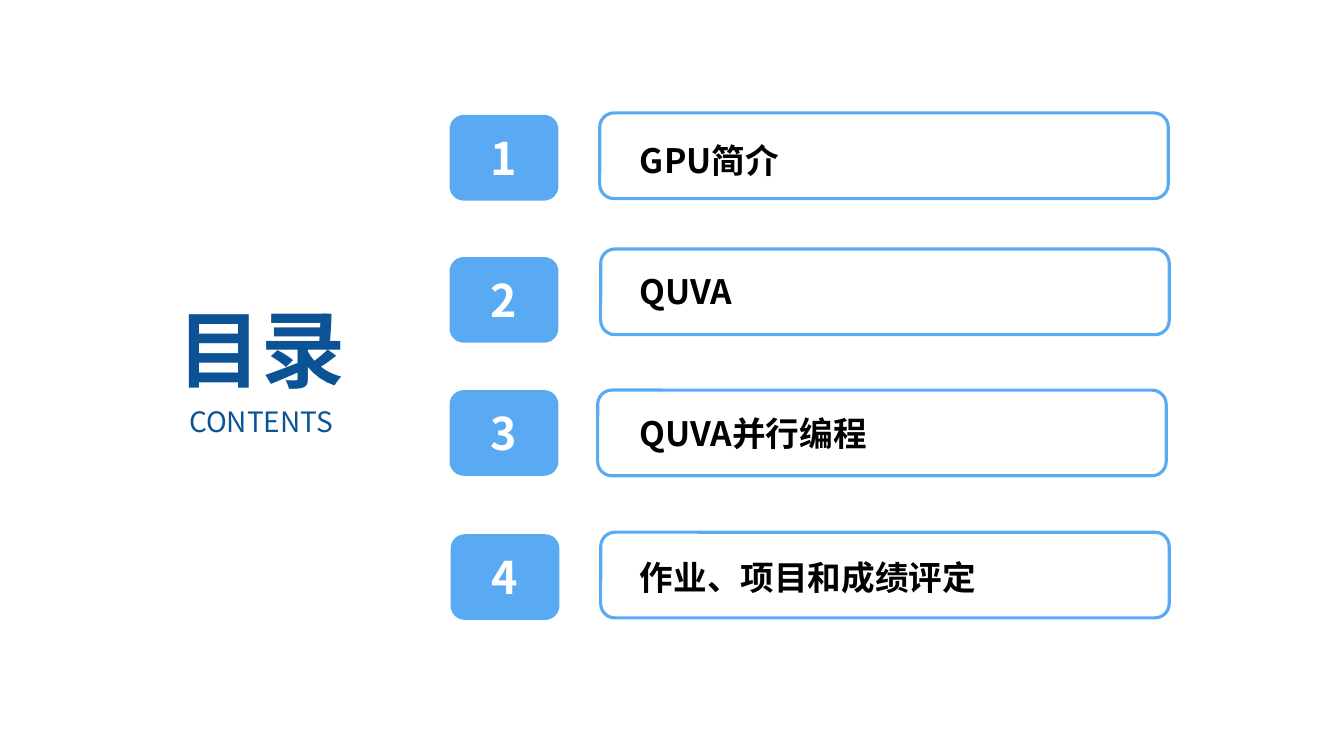
from dataclasses import dataclass

import pptx
import pptx.dml.color
import pptx.enum.shapes
import pptx.enum.text
import pptx.oxml
import pptx.oxml.ns
import pptx.util

RGB = pptx.dml.color.RGBColor.from_string
ALIGN = pptx.enum.text.PP_ALIGN
ANCHOR = pptx.enum.text.MSO_ANCHOR

SLIDE_WIDTH = pptx.util.Emu(12192000)
SLIDE_HEIGHT = pptx.util.Emu(6858000)
COLUMNS, ROWS = 160, 90
ENTRY_ROWS = 10.2


@dataclass(frozen=True)
class Theme:
    font: str = "Noto Sans CJK SC"
    heading: str = "0B5394"
    accent: str = "59AAF2"
    badge_text: str = "FFFFFF"
    label_text: str = "000000"
    title_size: int = 60
    subtitle_size: int = 20
    badge_size: int = 32
    label_size: int = 24
    frame_line: float = 2.25


@dataclass(frozen=True)
class Area:
    column: float
    row: float
    columns: float
    rows: float

    def lengths(self) -> tuple[int, int, int, int]:
        return (
            round(self.column * SLIDE_WIDTH / COLUMNS),
            round(self.row * SLIDE_HEIGHT / ROWS),
            round(self.columns * SLIDE_WIDTH / COLUMNS),
            round(self.rows * SLIDE_HEIGHT / ROWS),
        )


@dataclass(frozen=True)
class Entry:
    label: str
    badge_column: float
    badge_row: float
    frame_column: float
    frame_row: float
    label_row: float
    label_columns: float


THEME = Theme()
TITLE_AREA = Area(17.52, 34.8, 27.12, 13.32)
SUBTITLE_AREA = Area(17.52, 47.52, 27.12, 5.28)
ENTRIES = (
    Entry("GPU简介", 53.52, 13.68, 71.4, 13.44, 16.08, 20.52),
    Entry("QUVA", 53.52, 30.6, 71.52, 29.64, 31.68, 14.52),
    Entry("QUVA并行编程", 53.52, 46.44, 71.16, 46.44, 48.6, 30.6),
    Entry("作业、项目和成绩评定", 53.64, 63.6, 71.52, 63.36, 65.76, 44.04),
)


def write(shape, text: str, size: int, color: str, bold: bool = True,
          align=ALIGN.CENTER, anchor=ANCHOR.TOP, wrap: bool = True) -> None:
    frame = shape.text_frame
    frame.text = text
    frame.auto_size = pptx.enum.text.MSO_AUTO_SIZE.NONE
    frame.word_wrap = wrap
    frame.vertical_anchor = anchor
    paragraph = frame.paragraphs[0]
    paragraph.alignment = align
    font = paragraph.font
    font.name = THEME.font
    font.size = pptx.util.Pt(size)
    font.bold = bold
    font.color.rgb = RGB(color)
    properties = paragraph._p.pPr.find(pptx.oxml.ns.qn("a:defRPr"))
    east_asian = pptx.oxml.parse_xml(
        f'<a:ea {pptx.oxml.ns.nsdecls("a")} typeface="{THEME.font}"/>')
    properties.append(east_asian)


def add_rounded(slide, area: Area):
    shape = slide.shapes.add_shape(
        pptx.enum.shapes.MSO_SHAPE.ROUNDED_RECTANGLE, *area.lengths())
    shape.shadow.inherit = False
    return shape


def add_heading(slide) -> None:
    title = slide.shapes.title
    title.left, title.top, title.width, title.height = TITLE_AREA.lengths()
    write(title, "目录", THEME.title_size, THEME.heading)
    subtitle = slide.shapes.add_textbox(*SUBTITLE_AREA.lengths())
    write(subtitle, "CONTENTS", THEME.subtitle_size, THEME.heading, bold=False)


def add_entry(slide, number: int, entry: Entry) -> None:
    badge = add_rounded(
        slide, Area(entry.badge_column, entry.badge_row, 12.96, ENTRY_ROWS))
    badge.fill.solid()
    badge.fill.fore_color.rgb = RGB(THEME.accent)
    badge.line.fill.background()
    write(badge, str(number), THEME.badge_size, THEME.badge_text,
          anchor=ANCHOR.MIDDLE)

    frame = add_rounded(
        slide, Area(entry.frame_column, entry.frame_row, 67.68, ENTRY_ROWS))
    frame.fill.background()
    frame.line.color.rgb = RGB(THEME.accent)
    frame.line.width = pptx.util.Pt(THEME.frame_line)

    label = slide.shapes.add_textbox(
        *Area(75, entry.label_row, entry.label_columns, 6).lengths())
    write(label, entry.label, THEME.label_size, THEME.label_text,
          align=ALIGN.LEFT, wrap=False)


def main() -> None:
    presentation = pptx.Presentation()
    presentation.slide_width = SLIDE_WIDTH
    presentation.slide_height = SLIDE_HEIGHT
    slide = presentation.slides.add_slide(
        presentation.slide_layouts.get_by_name("Title Only"))
    add_heading(slide)
    for number, entry in enumerate(ENTRIES, start=1):
        add_entry(slide, number, entry)
    presentation.save("out.pptx")


if __name__ == "__main__":
    main()
